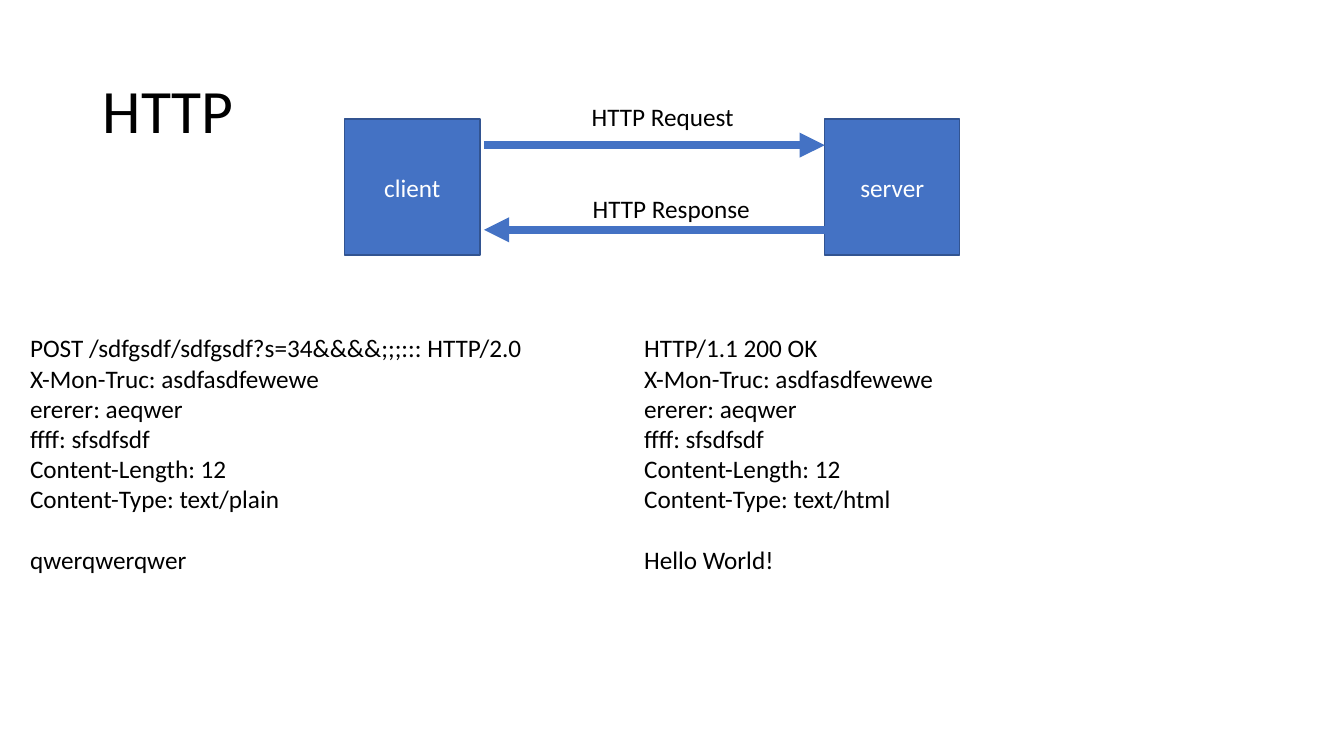
from pptx import Presentation
from pptx.dml.color import RGBColor
from pptx.enum.shapes import MSO_CONNECTOR as Link, MSO_SHAPE as Shape
from pptx.enum.text import MSO_ANCHOR as Anchor, MSO_AUTO_SIZE as Fit, PP_ALIGN as Align
from pptx.oxml.ns import qn
from pptx.util import Inches, Pt
from lxml.etree import SubElement

COLORS = {"blue": "4472C4", "edge": "325491", "black": "000000", "white": "FFFFFF"}
HEADERS = ["X-Mon-Truc: asdfasdfewewe", "ererer: aeqwer", "ffff: sfsdfsdf",
           "Content-Length: 12"]
CLIENT, SERVER = 3.42, 8.18


def color(name):
    return RGBColor.from_string(COLORS[name])


def write(par, text, size=18, ink="black"):
    run = par.add_run()
    run.text = text
    for key, value in {"name": "Calibri", "size": Pt(size)}.items():
        setattr(run.font, key, value)
    run.font.color.rgb = color(ink)


def add_title(slide, text):
    box = slide.shapes.add_textbox(Inches(0.92), Inches(0.4), Inches(11.5), Inches(1.45))
    frame = box.text_frame
    frame.word_wrap = True
    frame.vertical_anchor = Anchor.MIDDLE
    par = frame.paragraphs[0]
    par.line_spacing = 0.9
    write(par, text, 44)


def add_node(slide, left, text):
    node = slide.shapes.add_shape(
        Shape.RECTANGLE, Inches(left), Inches(1.18), Inches(1.34), Inches(1.35))
    node.shadow.inherit = False
    node.fill.solid()
    node.fill.fore_color.rgb = color("blue")
    node.line.color.rgb = color("edge")
    node.line.width = Pt(1)
    frame = node.text_frame
    frame.vertical_anchor = Anchor.MIDDLE
    par = frame.paragraphs[0]
    par.alignment = Align.CENTER
    write(par, text, ink="white")


def add_arrow(slide, start, end, top):
    arrow = slide.shapes.add_connector(
        Link.STRAIGHT, Inches(start), Inches(top), Inches(end), Inches(top))
    arrow.line.color.rgb = color("blue")
    arrow.line.width = Pt(6)
    SubElement(arrow.line._get_or_add_ln(), qn("a:tailEnd"), type="triangle")
    SubElement(arrow._element.spPr, qn("a:effectLst"))


def add_text(slide, left, top, width, height, lines):
    box = slide.shapes.add_textbox(Inches(left), Inches(top), Inches(width), Inches(height))
    frame = box.text_frame
    frame.word_wrap = False
    frame.auto_size = Fit.SHAPE_TO_FIT_TEXT
    for i, line in enumerate(lines):
        par = frame.add_paragraph() if i else frame.paragraphs[0]
        write(par, line)
    return frame


def add_message(slide, left, width, first, kind, body):
    """Show an HTTP message, its body set one line apart from the headers."""
    lines = [first, *HEADERS, f"Content-Type: {kind}", body]
    frame = add_text(slide, left, 3.25, width, 2.52, lines)
    frame.paragraphs[-1].space_before = Pt(22)


def main():
    deck = Presentation()
    deck.slide_width, deck.slide_height = Inches(13.33), Inches(7.5)
    slide = deck.slides.add_slide(deck.slide_layouts[6])

    add_title(slide, "HTTP")
    add_node(slide, CLIENT, "client")
    add_node(slide, SERVER, "server")
    add_arrow(slide, 4.8, SERVER, 1.44)
    add_text(slide, 5.77, 0.96, 1.63, 0.4, ["HTTP Request"])
    add_arrow(slide, SERVER, 4.8, 2.28)
    add_text(slide, 5.78, 1.87, 1.78, 0.4, ["HTTP Response"])
    add_message(slide, 0.2, 5.13, "POST /sdfgsdf/sdfgsdf?s=34&&&&;;;::: HTTP/2.0",
                "text/plain", "qwerqwerqwer")
    add_message(slide, 6.29, 3.11, "HTTP/1.1 200 OK", "text/html", "Hello World!")

    deck.save("out.pptx")


if __name__ == "__main__":
    main()
